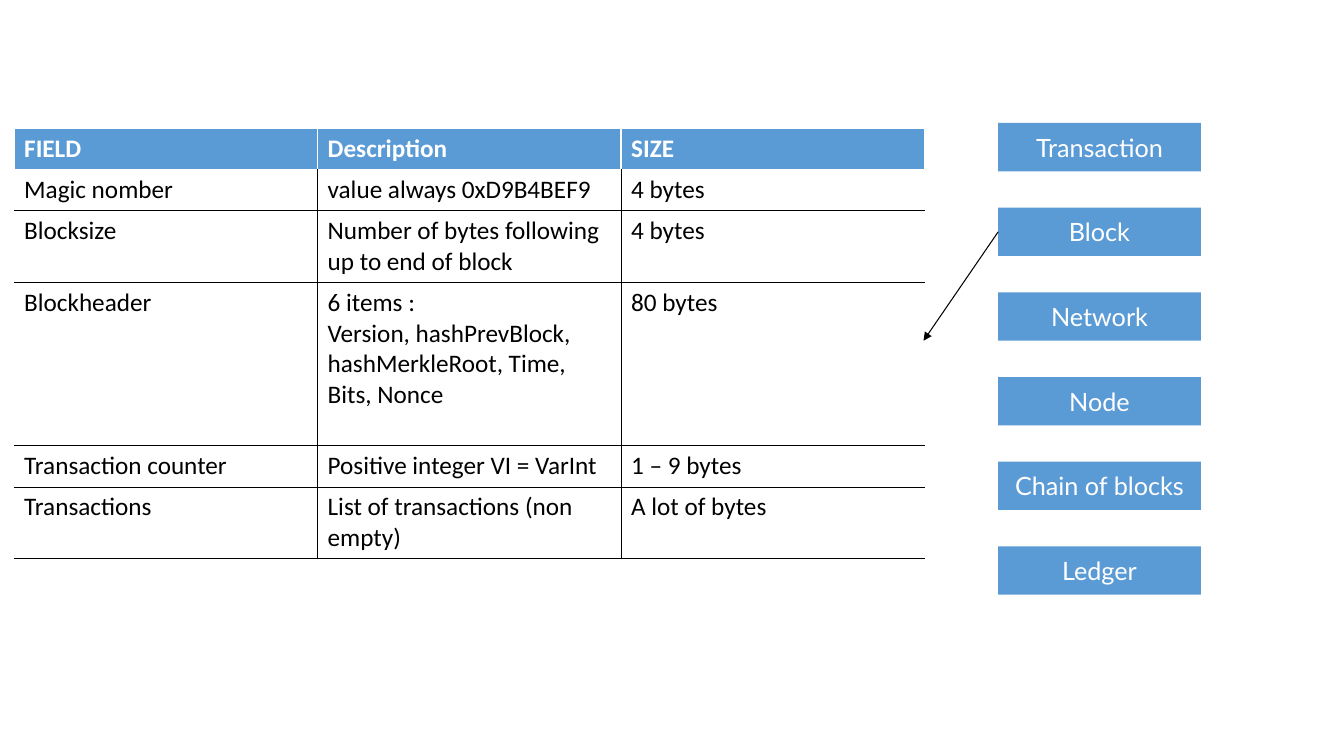
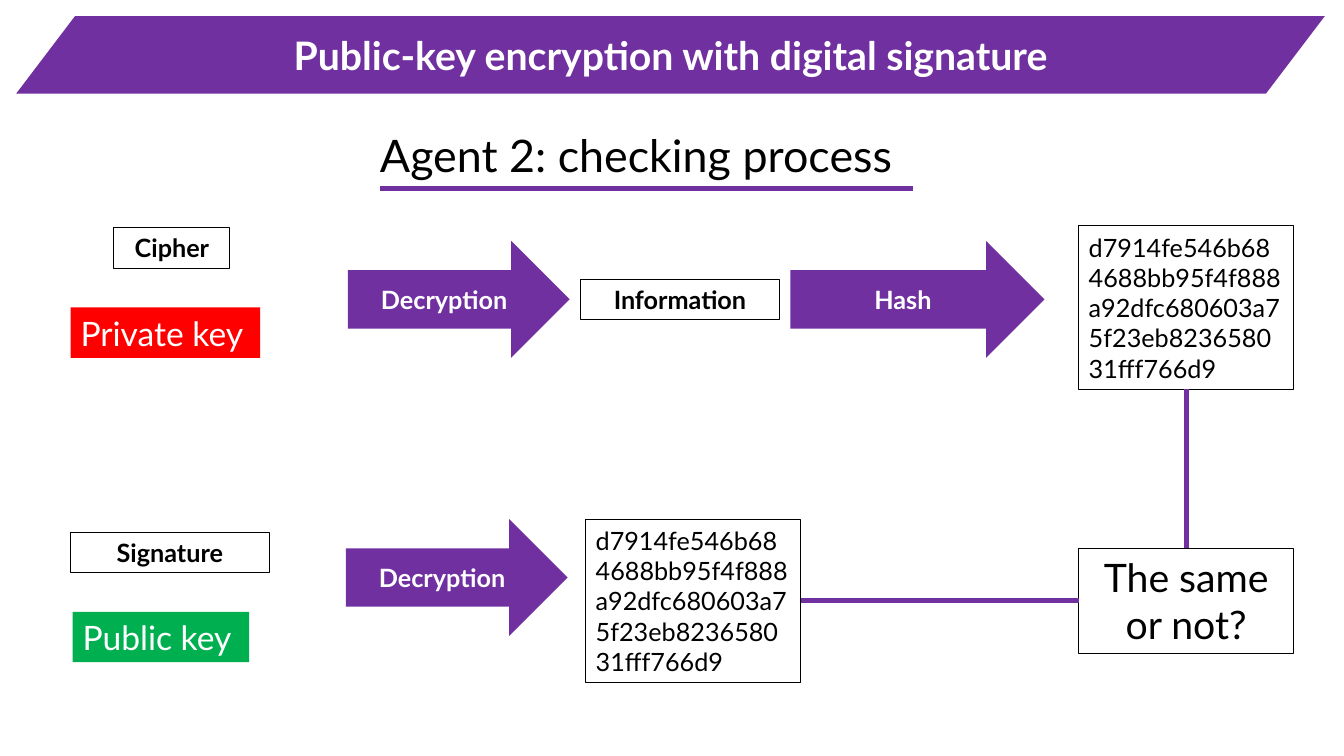
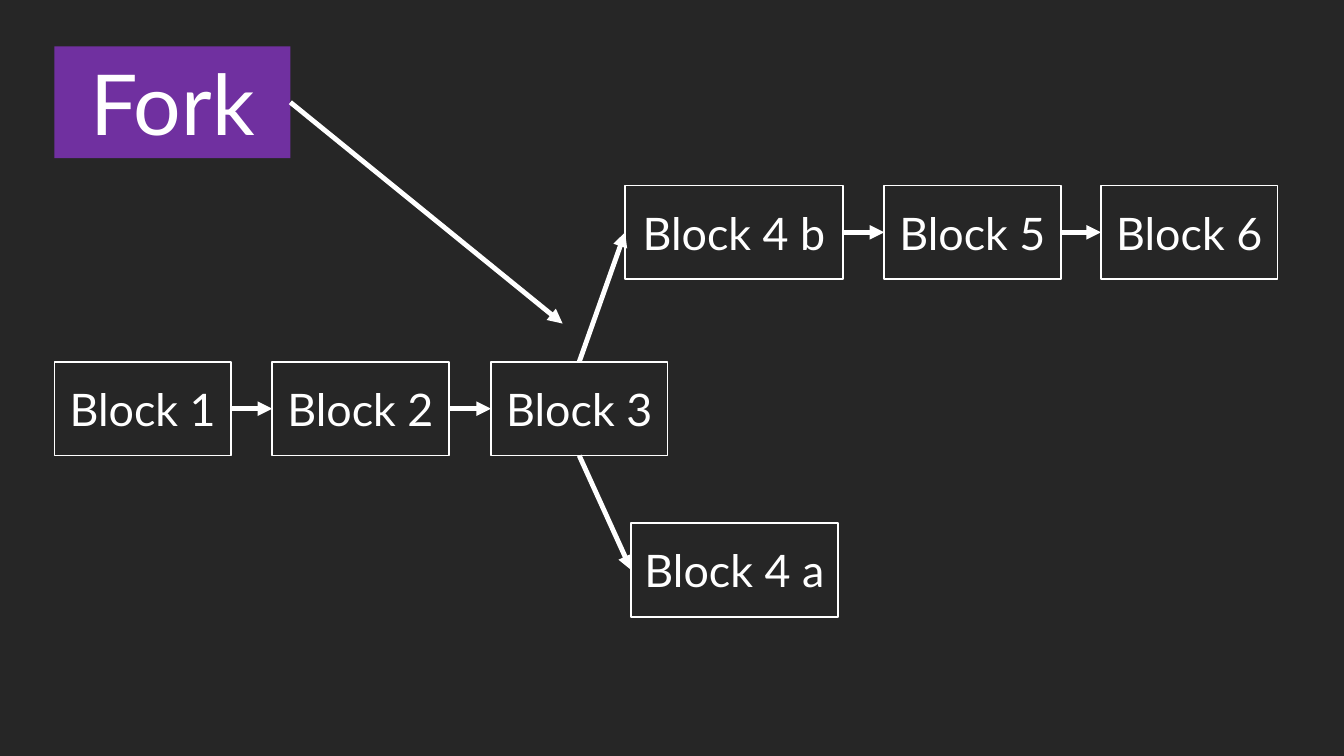
from pptx import Presentation
from pptx.dml.color import RGBColor
from pptx.enum.shapes import MSO_CONNECTOR, MSO_SHAPE
from pptx.enum.text import MSO_ANCHOR, PP_ALIGN
from pptx.oxml import parse_xml
from pptx.oxml.ns import nsdecls
from pptx.util import Inches, Pt

BLACK = RGBColor(0x00, 0x00, 0x00)
WHITE = RGBColor(0xFF, 0xFF, 0xFF)
DARK = RGBColor(0x26, 0x26, 0x26)
BLUE = RGBColor(0x5B, 0x9B, 0xD5)
PURPLE = RGBColor(0x70, 0x30, 0xA0)
RED = RGBColor(0xFF, 0x00, 0x00)
GREEN = RGBColor(0x00, 0xB0, 0x50)
FONT = "Lato"
TABLE_FONT = "Calibri"


def add_text(s, text, x, y, w, h, kind=MSO_SHAPE.RECTANGLE, fill=None, line=None,
             line_width=0.75, size=18, color=WHITE, bold=False, align=PP_ALIGN.CENTER):
    """Add a shape with one paragraph of text, centred vertically."""
    sp = s.shapes.add_shape(kind, Inches(x), Inches(y), Inches(w), Inches(h))
    sp.shadow.inherit = False
    if fill is None:
        sp.fill.background()
    else:
        sp.fill.solid()
        sp.fill.fore_color.rgb = fill
    if line is None:
        sp.line.fill.background()
    else:
        sp.line.color.rgb = line
        sp.line.width = Pt(line_width)
    tf = sp.text_frame
    tf.word_wrap = True
    tf.vertical_anchor = MSO_ANCHOR.MIDDLE
    p = tf.paragraphs[0]
    p.alignment = align
    r = p.add_run()
    r.text = text
    r.font.name, r.font.size, r.font.bold = FONT, Pt(size), bold
    r.font.color.rgb = color
    return sp


def add_line(s, start, end, color, width, arrow=False):
    """Draw a line; each end is an (x, y) point or a (shape, side) pair."""
    c = s.shapes.add_connector(MSO_CONNECTOR.STRAIGHT, 0, 0, 0, 0)
    if isinstance(start[0], (int, float)):
        c.begin_x, c.begin_y = Inches(start[0]), Inches(start[1])
    else:
        c.begin_connect(*start)
    if isinstance(end[0], (int, float)):
        c.end_x, c.end_y = Inches(end[0]), Inches(end[1])
    else:
        c.end_connect(*end)
    c.line.color.rgb = color
    c.line.width = Pt(width)
    if arrow:
        c.line._get_or_add_ln().append(
            parse_xml(f'<a:tailEnd {nsdecls("a")} type="triangle"/>'))
    c._element.spPr.append(parse_xml(f'<a:effectLst {nsdecls("a")}/>'))


prs = Presentation()
prs.slide_width, prs.slide_height = Inches(13.33), Inches(7.5)
blank = prs.slide_layouts[6]

# Slide 1: block structure
s = prs.slides.add_slide(blank)
topics = {}
for i, name in enumerate(["Transaction", "Block", "Network", "Node",
                          "Chain of blocks", "Ledger"]):
    topics[name] = add_text(s, name, 9.9, 1.22 + 0.84 * i, 2.01, 0.48, fill=BLUE)

rows = [
    ("FIELD", "Description", "SIZE"),
    ("Magic nomber", "value always 0xD9B4BEF9", "4 bytes"),
    ("Blocksize", "Number of bytes following up to end of block", "4 bytes"),
    ("Blockheader",
     "6 items :\nVersion, hashPrevBlock, hashMerkleRoot, Time, Bits, Nonce", "80 bytes"),
    ("Transaction counter", "Positive integer VI = VarInt", "1 – 9 bytes"),
    ("Transactions", "List of transactions (non empty)", "A lot of bytes"),
]
heights = [0.41, 0.41, 0.71, 1.62, 0.41, 0.71]
table = s.shapes.add_table(len(rows), 3, Inches(0.14), Inches(1.27),
                           Inches(9.03), Inches(sum(heights))).table
for col in table.columns:
    col.width = Inches(3.01)
for i, (row, height) in enumerate(zip(rows, heights)):
    table.rows[i].height = Inches(height)
    header = i == 0
    for j, text in enumerate(row):
        cell = table.cell(i, j)
        cell.text = text
        for p in cell.text_frame.paragraphs:
            p.font.name, p.font.size, p.font.bold = TABLE_FONT, Pt(18), header
            p.font.color.rgb = WHITE if header else BLACK
        # Black lines between body cells, white ones elsewhere
        inner = {"lnL": j > 0, "lnR": j < 2, "lnT": i > 1, "lnB": True}
        for side, shown in inner.items():
            black = shown and not header
            color, width = (BLACK, Pt(0.5)) if black else (WHITE, Pt(1))
            cell._tc.get_or_add_tcPr().append(parse_xml(
                f'<a:{side} {nsdecls("a")} w="{width}"><a:solidFill>'
                f'<a:srgbClr val="{color}"/></a:solidFill></a:{side}>'))
        cell.fill.solid()
        cell.fill.fore_color.rgb = BLUE if header else WHITE
add_line(s, (topics["Block"], 1), (9.16, 3.38), BLACK, 0.75, arrow=True)

# Slide 2: checking a digital signature
s = prs.slides.add_slide(blank)
banner = add_text(s, "Public-key encryption with digital signature", 0.16, 0.16, 12.98, 0.77,
                  kind=MSO_SHAPE.PARALLELOGRAM, fill=PURPLE, size=28, bold=True)
banner.adjustments[0] = 0.759
add_text(s, "Agent 2: checking process", 3.67, 1.21, 5.43, 0.64,
         size=32, color=BLACK, align=PP_ALIGN.LEFT)
add_line(s, (3.77, 1.87), (9.06, 1.87), PURPLE, 3.75)

for text, x, y, w in [("Сipher", 1.13, 2.26, 1.15), ("Information", 5.76, 2.77, 1.97),
                      ("Signature", 0.7, 5.28, 1.97)]:
    add_text(s, text, x, y, w, 0.4, line=BLACK, color=BLACK, bold=True)
for text, x, y, w in [("Decryption", 3.45, 2.39, 2.2), ("Hash", 7.84, 2.39, 2.52),
                      ("Decryption", 3.43, 5.15, 2.2)]:
    add_text(s, text, x, y, w, 1.16, kind=MSO_SHAPE.RIGHT_ARROW, fill=PURPLE, bold=True)
for text, x, y, w, fill in [("Private key", 0.7, 3.05, 1.88, RED),
                            ("Public key", 0.72, 6.07, 1.75, GREEN)]:
    add_text(s, text, x, y, w, 0.5, fill=fill, size=24, align=PP_ALIGN.LEFT)

digest = "d7914fe546b684688bb95f4f888a92dfc680603a75f23eb823658031fff766d9"
computed, signed = [
    add_text(s, digest, x, y, 2.13, 1.62, line=BLACK, color=BLACK, align=PP_ALIGN.LEFT)
    for x, y in [(10.7, 2.24), (5.81, 5.15)]]
verdict = add_text(s, "The same or not?", 10.7, 5.44, 2.13, 1.04,
                   line=BLACK, size=28, color=BLACK)
add_line(s, (verdict, 1), (signed, 3), PURPLE, 3.75)
add_line(s, (computed, 2), (verdict, 0), PURPLE, 3.75)

# Slide 3: fork in the chain
s = prs.slides.add_slide(blank)
s.background.fill.solid()
s.background.fill.fore_color.rgb = DARK
blocks = {}
for name, x, y, w in [("1", 0.54, 3.59, 1.75), ("2", 2.7, 3.59, 1.75), ("3", 4.87, 3.59, 1.75),
                      ("4 b", 6.2, 1.84, 2.16), ("4 a", 6.26, 5.19, 2.05),
                      ("5", 8.77, 1.84, 1.75), ("6", 10.92, 1.84, 1.75)]:
    blocks[name] = add_text(s, f"Block {name}", x, y, w, 0.93,
                            line=WHITE, line_width=1.25, size=32)
for start, side, end in [("1", 3, "2"), ("2", 3, "3"), ("3", 0, "4 b"), ("3", 2, "4 a"),
                         ("4 b", 3, "5"), ("5", 3, "6")]:
    add_line(s, (blocks[start], side), (blocks[end], 1), WHITE, 3.5, arrow=True)
fork = add_text(s, "Fork", 0.54, 0.46, 2.34, 1.11, fill=PURPLE, size=60)
add_line(s, (fork, 3), (5.58, 3.21), WHITE, 3.5, arrow=True)

prs.save("out.pptx")
